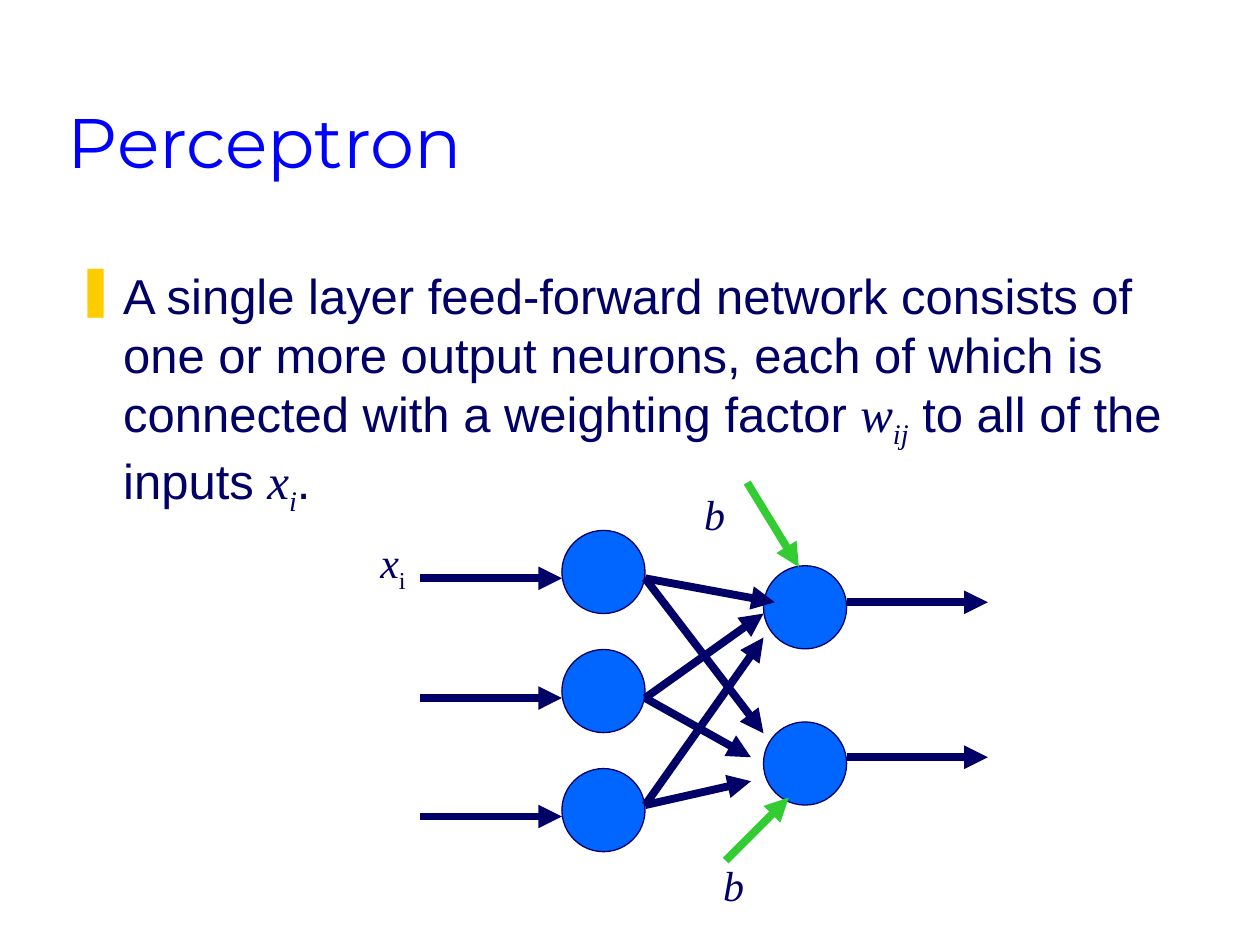
from typing import NamedTuple

from lxml import etree
from pptx import Presentation
from pptx import util as u
from pptx.dml.color import RGBColor
from pptx.enum import shapes, text
from pptx.oxml.ns import qn

NAVY = RGBColor(0x00, 0x00, 0x66)
TITLE_BLUE = RGBColor(0x00, 0x00, 0xFF)
NEURON_BLUE = RGBColor(0x00, 0x66, 0xFF)
BIAS_GREEN = RGBColor(0x33, 0xCC, 0x33)
SANS, SERIF, DISPLAY = "Arial", "Times New Roman", "Montserrat"

DIAMETER = 0.66
INPUT_X, OUTPUT_X = 4.46, 6.06
INPUT_RIGHT, OUTPUT_RIGHT = INPUT_X + DIAMETER, OUTPUT_X + DIAMETER


class Run(NamedTuple):
    text: str
    font: str = SERIF
    italic: bool = True
    subscript: bool = False


class Arrow(NamedTuple):
    x1: float
    y1: float
    x2: float
    y2: float
    color: RGBColor = NAVY


def add_text(slide, runs: list[Run], left: float, top: float, width: float,
             height: float, *, size: float = 24, color: RGBColor = NAVY,
             anchor=text.MSO_ANCHOR.TOP, wrap: bool = False):
    """Add a one-paragraph text box and return its paragraph."""
    box = slide.shapes.add_textbox(u.Inches(left), u.Inches(top),
                                   u.Inches(width), u.Inches(height))
    frame = box.text_frame
    frame.word_wrap = wrap
    frame.vertical_anchor = anchor
    paragraph = frame.paragraphs[0]
    for item in runs:
        run = paragraph.add_run()
        run.text = item.text
        run.font.name = item.font
        run.font.size = u.Pt(size)
        run.font.italic = item.italic
        run.font.color.rgb = color
        if item.subscript:
            run._r.get_or_add_rPr().set("baseline", "-25000")
    return paragraph


def add_bullet(paragraph, character: str, color: RGBColor, indent: float) -> None:
    properties = paragraph._p.get_or_add_pPr()
    properties.set("marL", str(u.Inches(indent)))
    properties.set("indent", str(-u.Inches(indent)))
    bullet_color = etree.SubElement(properties, qn("a:buClr"))
    etree.SubElement(bullet_color, qn("a:srgbClr"), val=str(color))
    etree.SubElement(properties, qn("a:buChar"), char=character)


def add_neuron(slide, left: float, top: float) -> None:
    neuron = slide.shapes.add_shape(
        shapes.MSO_SHAPE.OVAL, u.Inches(left), u.Inches(top),
        u.Inches(DIAMETER), u.Inches(DIAMETER))
    neuron.shadow.inherit = False
    neuron.fill.solid()
    neuron.fill.fore_color.rgb = NEURON_BLUE
    neuron.line.color.rgb = NAVY
    neuron.line.width = u.Pt(0.75)


def add_arrow(slide, arrow: Arrow) -> None:
    connector = slide.shapes.add_connector(
        shapes.MSO_CONNECTOR.STRAIGHT, u.Inches(arrow.x1), u.Inches(arrow.y1),
        u.Inches(arrow.x2), u.Inches(arrow.y2))
    connector.line.color.rgb = arrow.color
    connector.line.width = u.Pt(4.5)
    etree.SubElement(connector.line._get_or_add_ln(), qn("a:tailEnd"), type="triangle")
    etree.SubElement(connector._element.spPr, qn("a:effectLst"))


def main() -> None:
    presentation = Presentation()
    presentation.slide_width = u.Inches(10)
    presentation.slide_height = u.Inches(7.5)
    slide = presentation.slides.add_slide(presentation.slide_layouts[6])

    # Title and definition
    add_text(slide, [Run("Perceptron", DISPLAY, False)], 0.44, 0.25, 8.5, 1.25,
             size=40, color=TITLE_BLUE, anchor=text.MSO_ANCHOR.BOTTOM, wrap=True)
    definition = add_text(slide, [
        Run("A single layer feed-forward network consists of one or more output "
            "neurons, each of which is connected with a weighting factor ", SANS, False),
        Run("w"), Run("ij", subscript=True),
        Run(" to all of the inputs ", SANS, False),
        Run("x"), Run("i", subscript=True), Run(".", SANS, False),
    ], 0.5, 2.06, 8.94, 2.19, size=28, wrap=True)
    definition.space_before = u.Pt(7)
    add_bullet(definition, "❚", RGBColor(0xFF, 0xCC, 0x00), 0.38)

    # Input label
    add_text(slide, [Run("x"), Run("i", italic=False, subscript=True)],
             2.92, 4.21, 0.4, 0.56)

    # Neurons
    for top in (4.49, 5.73):
        add_neuron(slide, OUTPUT_X, top)
    for row in range(3):
        add_neuron(slide, INPUT_X, 4.21 + 0.945 * row)

    # Inputs, weights, outputs and biases
    inputs = [Arrow(3.33, y, INPUT_X, y) for y in (4.59, 5.54, 6.48)]
    weights = [Arrow(INPUT_RIGHT, start, x, y) for start, ends in (
        (4.59, ((6.15, 4.78), (6.06, 5.82))),
        (5.54, ((6.06, 4.87), (5.96, 6.01))),
        (6.39, ((6.06, 5.06), (5.96, 6.2))),
    ) for x, y in ends]
    outputs = [Arrow(OUTPUT_RIGHT, y, 7.84, y) for y in (4.78, 6.01)]
    biases = [Arrow(5.93, 3.83, 6.34, 4.5, BIAS_GREEN),
              Arrow(5.76, 6.83, 6.26, 6.33, BIAS_GREEN)]
    for arrow in inputs + weights + outputs + biases:
        add_arrow(slide, arrow)

    # Bias labels
    for left, top in ((5.49, 3.83), (5.64, 6.77)):
        add_text(slide, [Run("b")], left, top, 0.36, 0.5)

    presentation.save("out.pptx")


if __name__ == "__main__":
    main()
